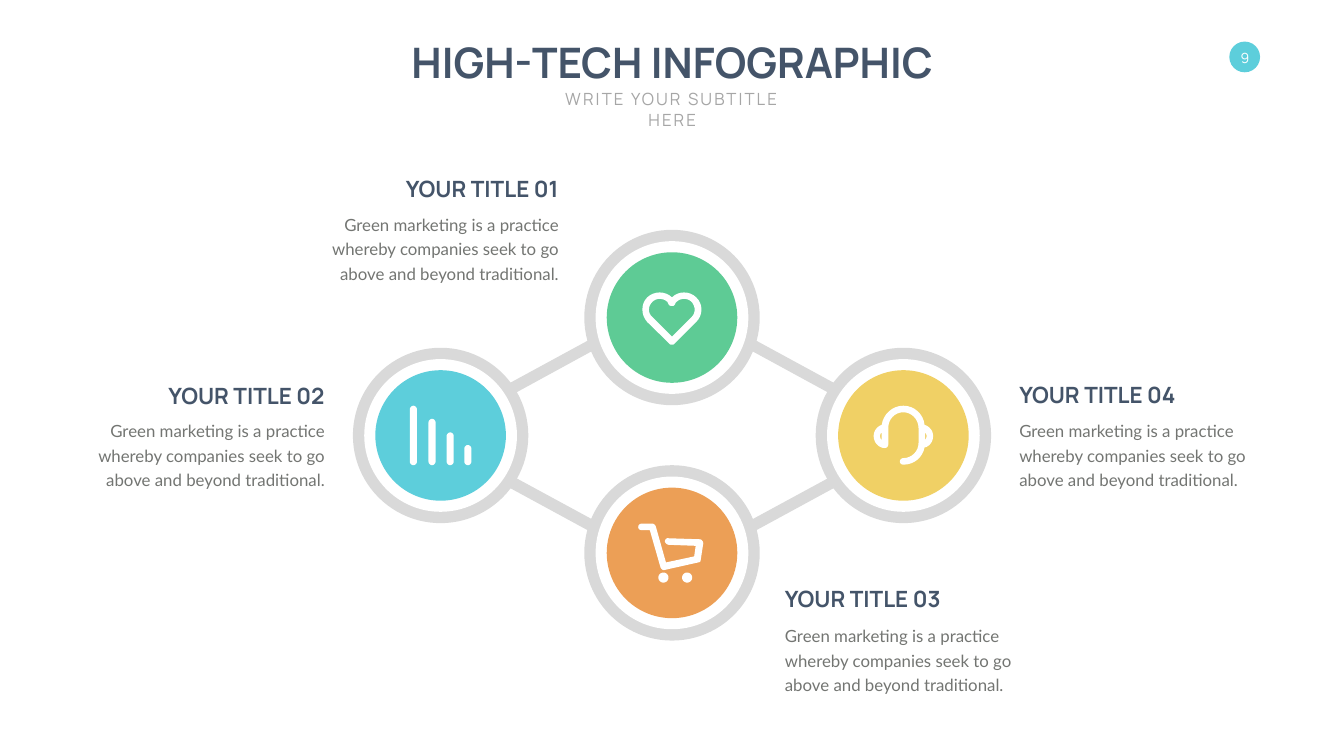
"""Build the four-node high-tech infographic slide."""
from dataclasses import dataclass

import pptx
import pptx.dml.color
import pptx.enum.shapes
import pptx.enum.text
import pptx.util
from pptx.util import Inches

ALIGN = pptx.enum.text.PP_ALIGN
ANCHOR = pptx.enum.text.MSO_ANCHOR
NAVY, GRAY, TEAL, WHITE = "445469", "D9D9D9", "5DCEDB", "FFFFFF"
BODY = "Green marketing is a practice whereby companies seek to go above and beyond traditional."
CURVE_STEPS = 8


def capsule_outline(x: float, top: float, bottom: float = 9.23, r: float = 0.07) -> str:
    """Return the outline of one round-ended vertical bar."""
    k = r / 2
    return (
        f"M {x} {top} C {x + k} {top} {x + r} {top + k} {x + r} {top + r} "
        f"L {x + r} {bottom - r} C {x + r} {bottom - k} {x + k} {bottom} {x} {bottom} "
        f"C {x - k} {bottom} {x - r} {bottom - k} {x - r} {bottom - r} "
        f"L {x - r} {top + r} C {x - r} {top + k} {x - k} {top} {x} {top} Z"
    )


def wheel_outline(x: float, y: float = 11.46) -> str:
    """Return the outline of one cart wheel."""
    r, k = 0.1, 0.055
    return (
        f"M {x} {y - r} C {x + k} {y - r} {x + r} {y - k} {x + r} {y} "
        f"C {x + r} {y + k} {x + k} {y + r} {x} {y + r} "
        f"C {x - k} {y + r} {x - r} {y + k} {x - r} {y} "
        f"C {x - r} {y - k} {x - k} {y - r} {x} {y - r} Z"
    )


FRAME = (
    "M 8.68 8.64 L 13.33 6.1 L 17.99 8.64 L 14.01 10.8 L 12.66 10.8 Z "
    "M 13.33 11.43 L 18.46 8.64 L 13.33 5.85 L 8.2 8.64 Z"
)
BARS = " ".join(
    capsule_outline(x, top) for x, top in ((8.2, 8.05), (8.57, 8.31), (8.93, 8.58), (9.28, 8.83))
)
CART = f"{wheel_outline(13.63)} {wheel_outline(13.16)} " + (
    "M 12.73 10.39 L 12.94 10.39 C 12.97 10.39 13 10.42 13.01 10.45 L 13.21 11.16 "
    "L 13.77 11.04 L 13.8 10.83 L 13.26 10.81 C 13.22 10.8 13.19 10.77 13.19 10.74 "
    "C 13.19 10.7 13.23 10.67 13.26 10.68 L 13.88 10.7 C 13.9 10.7 13.92 10.71 13.93 10.73 "
    "C 13.94 10.74 13.95 10.76 13.95 10.78 L 13.9 11.11 C 13.9 11.14 13.88 11.16 13.85 11.16 "
    "L 13.18 11.31 C 13.14 11.32 13.11 11.28 13.1 11.25 L 12.89 10.52 L 12.73 10.52 "
    "C 12.69 10.52 12.66 10.49 12.66 10.46 C 12.66 10.42 12.69 10.39 12.73 10.39 Z"
)
HEADSET = (
    "M 18.35 8.73 L 18.35 8.58 C 18.37 8.6 18.38 8.63 18.38 8.65 C 18.38 8.68 18.37 8.71 18.35 8.73 Z "
    "M 17.49 8.73 C 17.46 8.71 17.46 8.68 17.46 8.65 C 17.46 8.63 17.46 8.6 17.49 8.58 Z "
    "M 18.51 8.65 C 18.51 8.55 18.44 8.46 18.34 8.43 C 18.32 8.22 18.14 8.05 17.92 8.05 "
    "C 17.7 8.05 17.52 8.22 17.49 8.43 C 17.4 8.46 17.33 8.55 17.33 8.65 "
    "C 17.33 8.78 17.43 8.89 17.55 8.89 C 17.59 8.89 17.62 8.86 17.62 8.82 L 17.62 8.49 "
    "C 17.62 8.32 17.75 8.18 17.92 8.18 C 18.08 8.18 18.22 8.32 18.22 8.49 L 18.22 8.79 "
    "C 18.22 8.96 18.08 9.09 17.92 9.09 C 17.88 9.09 17.85 9.12 17.85 9.16 "
    "C 17.85 9.19 17.88 9.22 17.92 9.22 C 18.13 9.22 18.3 9.08 18.34 8.88 "
    "C 18.44 8.86 18.51 8.76 18.51 8.65 Z"
)
HEART = (
    "M 13.72 6.29 L 13.33 6.68 L 12.94 6.29 C 12.85 6.21 12.85 6.08 12.94 5.99 "
    "C 13.02 5.91 13.15 5.91 13.24 5.99 L 13.25 6.01 C 13.26 6.03 13.26 6.04 13.27 6.05 "
    "C 13.29 6.07 13.31 6.07 13.33 6.07 C 13.35 6.07 13.37 6.07 13.38 6.05 "
    "C 13.39 6.04 13.4 6.03 13.4 6.01 L 13.42 5.99 C 13.5 5.91 13.64 5.91 13.72 5.99 "
    "C 13.8 6.08 13.8 6.21 13.72 6.29 Z "
    "M 13.81 5.9 C 13.68 5.77 13.46 5.77 13.33 5.9 C 13.19 5.77 12.98 5.77 12.84 5.9 "
    "C 12.71 6.03 12.71 6.25 12.84 6.39 L 13.28 6.82 C 13.29 6.84 13.31 6.84 13.33 6.84 "
    "C 13.35 6.84 13.36 6.84 13.38 6.82 L 13.81 6.39 C 13.95 6.25 13.95 6.03 13.81 5.9 Z"
)


@dataclass(frozen=True)
class Node:
    x: float
    y: float
    color: str
    icon: str


@dataclass(frozen=True)
class Callout:
    heading: str
    edge: float
    heading_top: float
    heading_width: float
    body_top: float
    align: ALIGN


@dataclass(frozen=True)
class TextStyle:
    size: int
    color: str
    font: str = "Manrope"
    bold: bool = False


NODES = (
    Node(8.74, 8.64, TEAL, BARS),
    Node(13.33, 10.97, "EC9F56", CART),
    Node(13.33, 6.3, "5ECB95", HEART),
    Node(17.92, 8.64, "F0D065", HEADSET),
)
CALLOUTS = (
    Callout("YOUR TITLE 02", 6.54, 7.53, 3.32, 8.22, ALIGN.RIGHT),
    Callout("YOUR TITLE 04", 20.12, 7.5, 3.37, 8.22, ALIGN.LEFT),
    Callout("YOUR TITLE 03", 15.47, 11.55, 3.34, 12.28, ALIGN.LEFT),
    Callout("YOUR TITLE 01", 11.18, 3.42, 3.23, 4.12, ALIGN.RIGHT),
)
RING_LAYERS = ((3.48, GRAY), (3.03, WHITE))
DISC_DIAMETER = 2.59
HEADING = TextStyle(32, NAVY, bold=True)
BODY_STYLE = TextStyle(24, "737572", "Lato")


def rgb(value: str) -> pptx.dml.color.RGBColor:
    return pptx.dml.color.RGBColor.from_string(value)


def paint(shape, color: str) -> None:
    shape.fill.solid()
    shape.fill.fore_color.rgb = rgb(color)
    shape.line.fill.background()
    shape.shadow.inherit = False


def draw_circle(slide, x: float, y: float, diameter: float, color: str) -> None:
    r = diameter / 2
    oval = pptx.enum.shapes.MSO_SHAPE.OVAL
    box = map(Inches, (x - r, y - r, diameter, diameter))
    paint(slide.shapes.add_shape(oval, *box), color)


def contour_points(contour: str) -> list[tuple[float, float]]:
    """Flatten one contour of lines and cubic curves into points."""
    points = []
    for segment in contour.replace("L", "|L").replace("C", "|C").split("|"):
        values = [float(word) for word in segment.split() if word not in "LCZ"]
        if len(values) == 2:
            points.append((values[0], values[1]))
            continue
        x0, y0 = points[-1]
        x1, y1, x2, y2, x3, y3 = values
        for step in range(1, CURVE_STEPS + 1):
            t = step / CURVE_STEPS
            a, b, c, d = (1 - t) ** 3, 3 * t * (1 - t) ** 2, 3 * t * t * (1 - t), t ** 3
            points.append((a * x0 + b * x1 + c * x2 + d * x3, a * y0 + b * y1 + c * y2 + d * y3))
    return points


def draw_outline(slide, outline: str, color: str) -> None:
    contours = [
        [(Inches(x), Inches(y)) for x, y in contour_points(contour)]
        for contour in outline.split("M")[1:]
    ]
    builder = slide.shapes.build_freeform(*contours[0][0])
    for index, points in enumerate(contours):
        if index:
            builder.move_to(*points[0])
        builder.add_line_segments(points[1:], close=True)
    paint(builder.convert_to_shape(), color)


def write(shape, text: str, style: TextStyle, align, anchor=ANCHOR.TOP, wrap: bool = False):
    """Fill a text shape with one run and return that run."""
    frame = shape.text_frame
    frame.word_wrap = wrap
    frame.auto_size = pptx.enum.text.MSO_AUTO_SIZE.SHAPE_TO_FIT_TEXT
    frame.vertical_anchor = anchor
    frame.paragraphs[0].alignment = align
    run = frame.paragraphs[0].add_run()
    run.text = text
    run.font.size = pptx.util.Pt(style.size)
    run.font.name = style.font
    run.font.bold = style.bold
    run.font.color.rgb = rgb(style.color)
    return run


def add_box(slide, left: float, top: float, width: float, height: float):
    return slide.shapes.add_textbox(*map(Inches, (left, top, width, height)))


def draw_callout(slide, callout: Callout) -> None:
    def left(width: float) -> float:
        return callout.edge - width if callout.align == ALIGN.RIGHT else callout.edge

    width = callout.heading_width
    heading = add_box(slide, left(width), callout.heading_top, width, 0.64)
    write(heading, callout.heading, HEADING, callout.align, ANCHOR.BOTTOM)
    body = add_box(slide, left(4.88), callout.body_top, 4.88, 1.52)
    write(body, BODY, BODY_STYLE, callout.align, wrap=True)
    body.text_frame.paragraphs[0].line_spacing = pptx.util.Pt(35)


def main() -> None:
    deck = pptx.Presentation()
    deck.slide_width, deck.slide_height = Inches(26.66), Inches(15)
    slide = deck.slides.add_slide(deck.slide_layouts[5])

    title = slide.shapes.title
    title.left, title.top, title.width, title.height = map(Inches, (7.81, 0.67, 11.05, 1.11))
    write(title, "HIGH-TECH INFOGRAPHIC", TextStyle(60, NAVY, bold=True), ALIGN.CENTER)
    subtitle = add_box(slide, 10.62, 1.72, 5.43, 0.5)
    subtitle_run = write(subtitle, "WRITE YOUR SUBTITLE HERE", TextStyle(24, "A6A6A6"), ALIGN.CENTER)
    subtitle_run.font._element.set("spc", "300")

    draw_circle(slide, 24.69, 1.13, 0.61, TEAL)
    page_number = add_box(slide, 24.49, 0.97, 0.41, 0.34)
    frame = page_number.text_frame
    frame.margin_left = frame.margin_right = frame.margin_top = frame.margin_bottom = 0
    write(page_number, "9", TextStyle(20, WHITE), ALIGN.CENTER, ANCHOR.MIDDLE)

    draw_outline(slide, FRAME, GRAY)
    for node in NODES:
        for diameter, color in (*RING_LAYERS, (DISC_DIAMETER, node.color)):
            draw_circle(slide, node.x, node.y, diameter, color)
        draw_outline(slide, node.icon, WHITE)
    for callout in CALLOUTS:
        draw_callout(slide, callout)
    deck.save("out.pptx")


if __name__ == "__main__":
    main()
